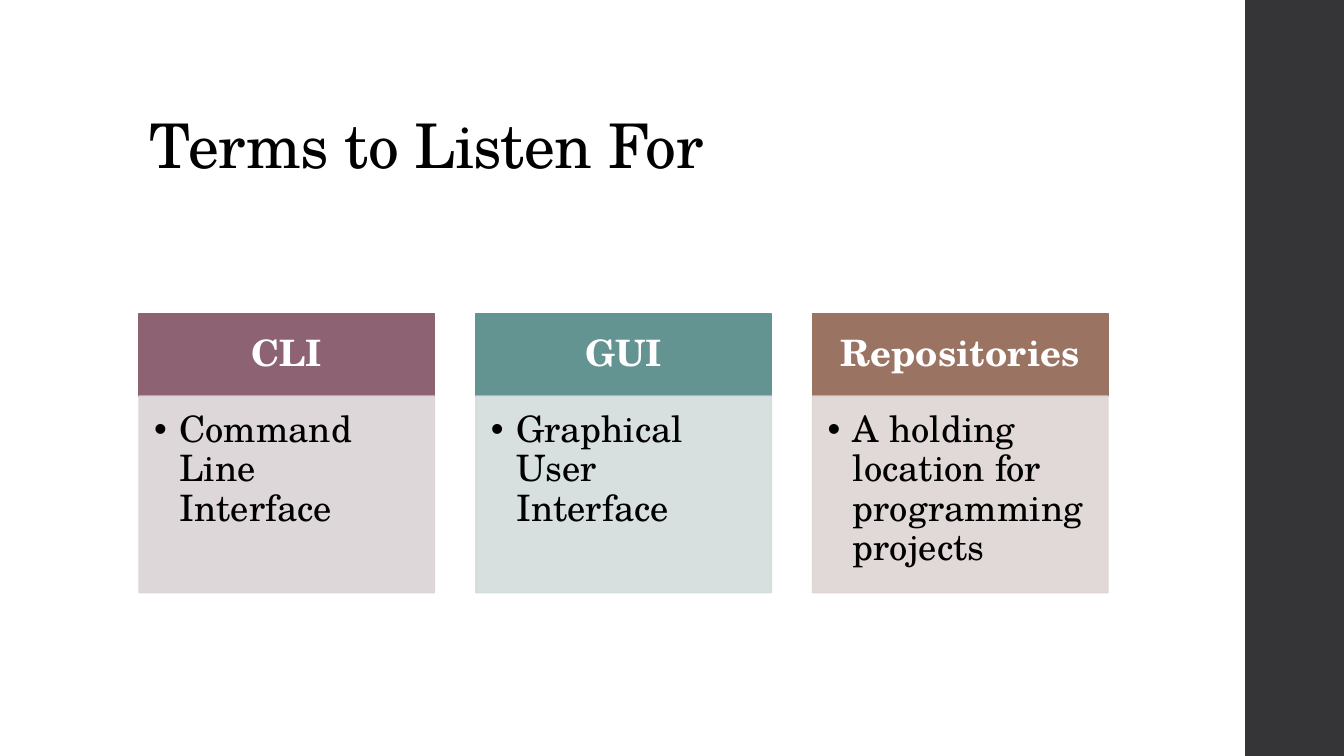
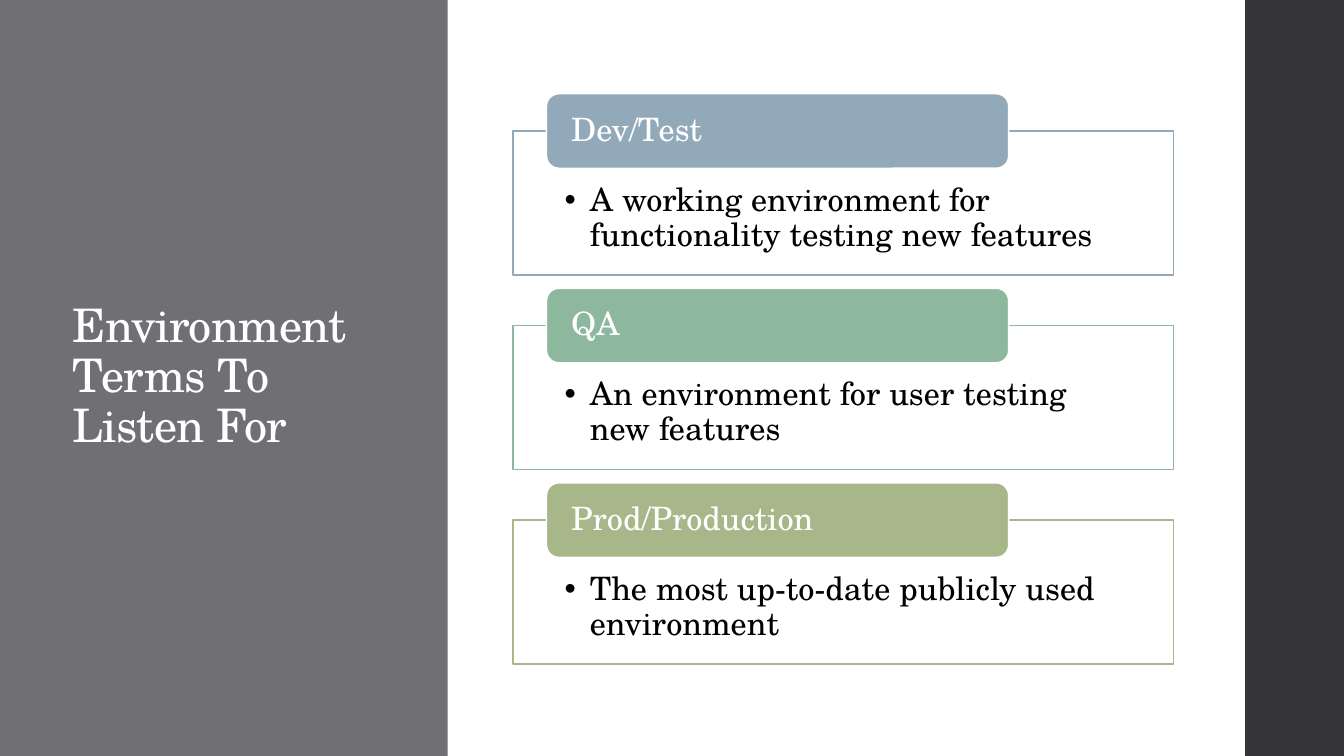
from lxml import etree
from pptx import Presentation
from pptx.dml.color import RGBColor
from pptx.enum import shapes, text
from pptx.oxml.ns import qn
from pptx.util import Inches, Pt

FONT = "TeX Gyre Schola"
COLORS = {
    "white": "FFFFFF", "black": "000000", "band": "353537", "panel": "6F6F74",
    "plum": "8D6374", "plum_tint": "DBD3D6",
    "teal": "639491", "teal_tint": "D3DCDC",
    "brown": "9B7362", "brown_tint": "DED5D3",
    "blue": "92A9B9", "green": "8EB89E", "olive": "A7B789",
}
TERMS = [
    ("CLI", "Command Line Interface", "plum"),
    ("GUI", "Graphical User Interface", "teal"),
    ("Repositories", "A holding location for programming projects", "brown"),
]
ENVIRONMENTS = [
    ("Dev/Test", "A working environment for functionality testing new features", "blue"),
    ("QA", "An environment for user testing new features", "green"),
    ("Prod/Production", "The most up-to-date publicly used environment", "olive"),
]
RECTANGLE = shapes.MSO_SHAPE.RECTANGLE
ROUNDED = shapes.MSO_SHAPE.ROUNDED_RECTANGLE
TOP, MIDDLE, BOTTOM = (text.MSO_ANCHOR.TOP, text.MSO_ANCHOR.MIDDLE,
                       text.MSO_ANCHOR.BOTTOM)
LEFT, CENTER = text.PP_ALIGN.LEFT, text.PP_ALIGN.CENTER


def rgb(name):
    return RGBColor.from_string(COLORS[name])


def add_box(slide, box, fill, line=None, kind=RECTANGLE):
    shape = slide.shapes.add_shape(kind, *map(Inches, box))
    shape.shadow.inherit = False
    shape.fill.solid()
    shape.fill.fore_color.rgb = rgb(fill)
    if line:
        shape.line.color.rgb = rgb(line)
        shape.line.width = Pt(1.1)
    else:
        shape.line.fill.background()
    return shape


def make_translucent(shape, percent):
    """Set the opacity of both fill and outline."""
    for color in shape.element.spPr.iter(qn("a:srgbClr")):
        etree.SubElement(color, qn("a:alpha"), val=str(percent * 1000))


def add_bullet(paragraph):
    properties = paragraph._p.get_or_add_pPr()
    properties.set("marL", str(Inches(0.25)))
    properties.set("indent", str(-Inches(0.25)))
    etree.SubElement(properties, qn("a:buFont"), typeface="Arial")
    etree.SubElement(properties, qn("a:buChar"), char="•")


def write(shape, content, size, color, insets=(0.1, 0.05, 0.1, 0.05),
          anchor=TOP, align=LEFT, bold=False, bullet=False):
    """Fill a shape with one paragraph; insets are left, top, right, bottom."""
    frame = shape.text_frame
    frame.text = content
    frame.word_wrap = True
    frame.auto_size = text.MSO_AUTO_SIZE.NONE
    frame.vertical_anchor = anchor
    (frame.margin_left, frame.margin_top,
     frame.margin_right, frame.margin_bottom) = map(Inches, insets)
    paragraph = frame.paragraphs[0]
    paragraph.alignment = align
    paragraph.line_spacing = 0.9
    if bullet:
        add_bullet(paragraph)
    font = paragraph.runs[0].font
    font.name, font.size, font.bold = FONT, Pt(size), bold
    font.color.rgb = rgb(color)


def start_slide(presentation, title, box, size, color, anchor):
    """Add a slide with its title and the dark band at the right."""
    slide = presentation.slides.add_slide(presentation.slide_layouts[5])
    placeholder = slide.shapes.title
    (placeholder.left, placeholder.top,
     placeholder.width, placeholder.height) = map(Inches, box)
    write(placeholder, title, size, color, anchor=anchor)
    placeholder.text_frame.paragraphs[0].runs[0].font._element.set("spc", "-50")
    add_box(slide, (12.35, 0, 1, 7.5), "band")
    return slide


def add_term_card(slide, box, term, meaning, color):
    left, top, width, height = box
    header_height = 0.82
    header = add_box(slide, (left, top, width, header_height), color, color)
    write(header, term, 26, "white", (0.2, 0.12, 0.2, 0.12), MIDDLE, CENTER, bold=True)
    tint = color + "_tint"
    body = add_box(slide, (left, top + header_height, width, height - header_height),
                   tint, tint)
    make_translucent(body, 90)
    write(body, meaning, 26, "black", (0.15, 0.15, 0.2, 0.23), bullet=True)


def add_environment(slide, box, name, meaning, color):
    """Draw a framed description with a label across its top edge."""
    left, top, width, height = box
    label_height = 0.74
    overlap = label_height / 2
    frame = add_box(slide, (left, top + overlap, width, height - overlap), "white", color)
    write(frame, meaning, 23, "black", (0.51, 0.52, 0.51, 0.18), bullet=True)
    label = add_box(slide, (left + 0.33, top, width * 0.7, label_height),
                    color, "white", ROUNDED)
    write(label, name, 23, "white", (0.21, 0, 0.21, 0), MIDDLE)


def add_terms_slide(presentation):
    slide = start_slide(presentation, "Terms to Listen For",
                        (1.38, 0.4, 10.6, 1.45), 44, "black", BOTTOM)
    width, gap = 2.93, 0.41
    for column, term in enumerate(TERMS):
        left = 1.38 + column * (width + gap)
        add_term_card(slide, (left, 3.11, width, 2.77), *term)


def add_environments_slide(presentation):
    slide = start_slide(presentation, "Environment Terms To Listen For",
                        (0.62, 0.91, 2.97, 5.67), 33, "white", MIDDLE)
    panel = add_box(slide, (0, 0, 4.44, 7.5), "panel")
    slide.shapes.title.element.addprevious(panel.element)
    height, gap = 1.8, 0.13
    for row, environment in enumerate(ENVIRONMENTS):
        top = 0.93 + row * (height + gap)
        add_environment(slide, (5.09, top, 6.55, height), *environment)


def main():
    presentation = Presentation()
    presentation.slide_width = Inches(13.33)
    presentation.slide_height = Inches(7.5)
    add_terms_slide(presentation)
    add_environments_slide(presentation)
    presentation.save("out.pptx")


if __name__ == "__main__":
    main()
